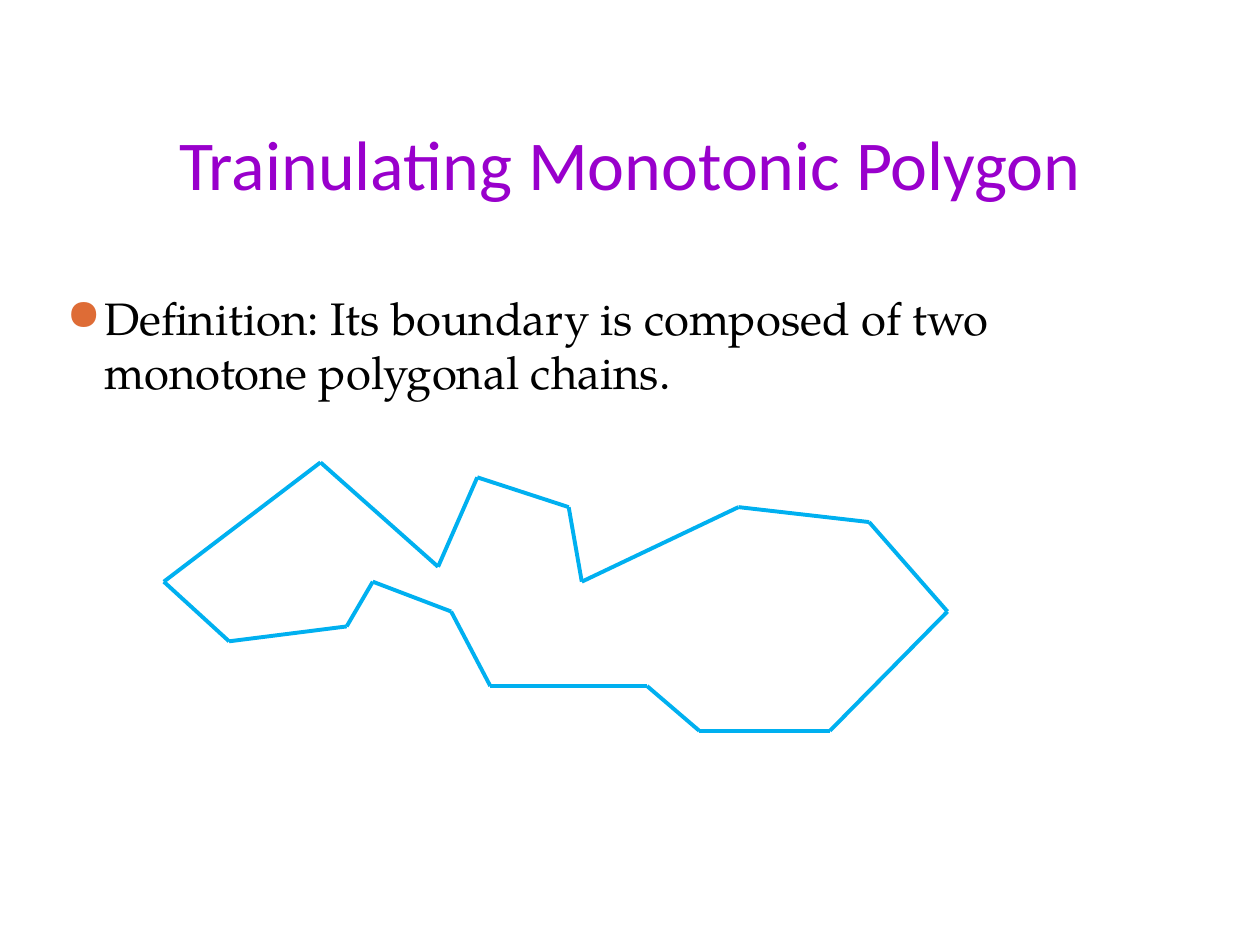
import itertools
import pptx
import pptx.util
import pptx.dml.color
import pptx.enum.shapes
import pptx.enum.text
import pptx.oxml

TITLE = {
    "text": "Trainulating Monotonic Polygon",
    "box": (0.5, 0.77, 9, 0.85),
    "margins": (0, 0.05, 0, 0),
    "anchor": pptx.enum.text.MSO_ANCHOR.BOTTOM,
    "align": pptx.enum.text.PP_ALIGN.CENTER,
    "style": "title",
}
DEFINITION = {
    "text": "Definition: Its boundary is composed of two monotone polygonal chains.",
    "box": (0.43, 2.25, 9, 4.8),
    "margins": (0.1, 0.05, 0.1, 0.05),
    "anchor": pptx.enum.text.MSO_ANCHOR.TOP,
    "align": pptx.enum.text.PP_ALIGN.LEFT,
    "style": "body",
}
CHAINS = {
    "upper": [(0, 8), (12, 0), (21, 7), (24, 1), (31, 3), (32, 8), (44, 3), (54, 4), (60, 10)],
    "lower": [(0, 8), (5, 12), (14, 11), (16, 8), (22, 10), (25, 15), (37, 15), (41, 18), (51, 18), (60, 10)],
}
GRID = {"left": 1.3, "top": 3.67, "width": 6.22, "height": 2.13, "columns": 60, "rows": 18}
THEME = {
    "title": {"name": "Calibri", "size": 40, "color": "9900CC"},
    "body": {"name": "TeX Gyre Pagella", "size": 26, "color": "000000"},
    "line": {"color": "00B0F0", "width": 2.25},
    "bullet": {"char": "\u25cf", "color": "DE6C36", "size": 95, "indent": 0.3},
}
NS = 'xmlns:a="http://schemas.openxmlformats.org/drawingml/2006/main"'


def rgb(value):
    return pptx.dml.color.RGBColor.from_string(value)


def add_text(slide, item):
    sp = slide.shapes.add_textbox(*map(pptx.util.Inches, item["box"]))
    tf = sp.text_frame
    sides = ("margin_left", "margin_top", "margin_right", "margin_bottom")
    frame = dict(zip(sides, map(pptx.util.Inches, item["margins"])))
    frame.update(word_wrap=True, vertical_anchor=item["anchor"])
    for name, value in frame.items():
        setattr(tf, name, value)
    p = tf.paragraphs[0]
    p.alignment = item["align"]
    r = p.add_run()
    r.text = item["text"]
    style = THEME[item["style"]]
    for name, value in {"name": style["name"], "size": pptx.util.Pt(style["size"])}.items():
        setattr(r.font, name, value)
    r.font.color.rgb = rgb(style["color"])
    return p


def add_bullet(p):
    bullet = THEME["bullet"]
    p.space_before = pptx.util.Pt(0.2 * THEME["body"]["size"])
    pPr = p._p.get_or_add_pPr()
    indent = pptx.util.Inches(bullet["indent"])
    pPr.set("marL", str(indent))
    pPr.set("indent", str(-indent))
    for xml in (
        f'<a:buClr {NS}><a:srgbClr val="{bullet["color"]}"/></a:buClr>',
        f'<a:buSzPct {NS} val="{bullet["size"] * 1000}"/>',
        f'<a:buChar {NS} char="{bullet["char"]}"/>',
    ):
        pPr.append(pptx.oxml.parse_xml(xml))


def place(point):
    column, row = point
    x = GRID["left"] + GRID["width"] * column / GRID["columns"]
    y = GRID["top"] + GRID["height"] * row / GRID["rows"]
    return pptx.util.Inches(x), pptx.util.Inches(y)


def add_edge(polygon, start, end):
    edge = polygon.shapes.add_connector(
        pptx.enum.shapes.MSO_CONNECTOR.STRAIGHT, *place(start), *place(end)
    )
    edge.line.color.rgb = rgb(THEME["line"]["color"])
    edge.line.width = pptx.util.Pt(THEME["line"]["width"])
    edge._element.spPr.append(pptx.oxml.parse_xml(f"<a:effectLst {NS}/>"))


prs = pptx.Presentation()
prs.slide_width = pptx.util.Inches(10)
prs.slide_height = pptx.util.Inches(7.5)
s = prs.slides.add_slide(prs.slide_layouts[6])

add_text(s, TITLE)
add_bullet(add_text(s, DEFINITION))
polygon = s.shapes.add_group_shape()
for chain in CHAINS.values():
    for start, end in itertools.pairwise(chain):
        add_edge(polygon, start, end)

prs.save("out.pptx")
